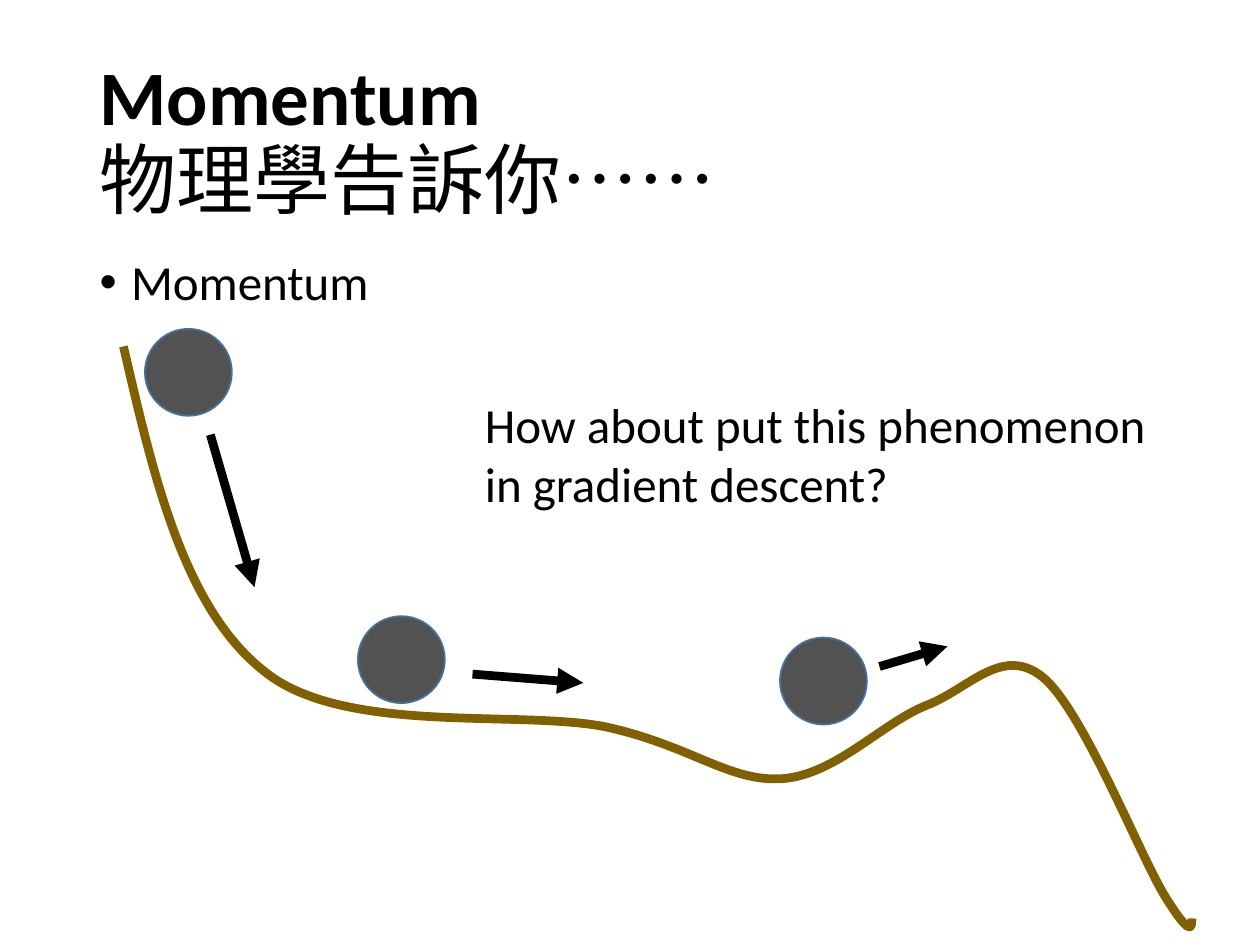
from lxml.etree import SubElement
from pptx import Presentation
from pptx.dml.color import RGBColor
from pptx.enum.shapes import MSO_CONNECTOR, MSO_SHAPE
from pptx.enum.text import MSO_ANCHOR, MSO_AUTO_SIZE, PP_ALIGN
from pptx.oxml.ns import qn
from pptx.util import Inches, Pt

BLACK = RGBColor(0x00, 0x00, 0x00)
BROWN = RGBColor(0x80, 0x60, 0x00)
GRAY = RGBColor(0x52, 0x52, 0x52)
BLUE = RGBColor(0x43, 0x73, 0x9E)
FONT = "Calibri"

TITLE = [("Momentum ", True), ("物理學告訴你……", False)]
BULLET = "Momentum"
QUESTION = "How about put this phenomenon in gradient descent?"

HILL_BOX = (0.98, 2.75, 8.48, 4.6)
HILL = [
    ((1.22, 3.79), (1.46, 4.83), (2.10, 5.33)),
    ((2.73, 5.84), (4.12, 5.63), (4.81, 5.77)),
    ((5.49, 5.92), (5.79, 6.21), (6.21, 6.18)),
    ((6.63, 6.15), (7.00, 5.74), (7.35, 5.60)),
    ((7.69, 5.47), (7.95, 5.12), (8.27, 5.37)),
    ((8.59, 5.62), (9.05, 6.80), (9.25, 7.12)),
    ((9.45, 7.44), (9.46, 7.37), (9.46, 7.29)),
]
BALL_SIZE = 0.69
BALLS = [(1.15, 2.61), (2.84, 4.89), (6.19, 5.06)]
ARROWS = [
    ((1.67, 3.45), (2.02, 4.66)),
    ((3.75, 5.35), (4.63, 5.42)),
    ((6.98, 5.29), (7.52, 5.13)),
]


def place(sp, x, y, w, h):
    sp.left, sp.top, sp.width, sp.height = map(Inches, (x, y, w, h))


def add_run(p, text, size, bold=None):
    r = p.add_run()
    r.text = text
    r.font.name = FONT
    r.font.size = Pt(size)
    r.font.bold = bold
    r.font.color.rgb = BLACK


def add_hill(shapes):
    left, top, width, height = HILL_BOX
    fb = shapes.build_freeform(Inches(left), Inches(top))
    fb.add_line_segments([tuple(map(Inches, c[-1])) for c in HILL], close=False)
    sp = fb.convert_to_shape()
    place(sp, *HILL_BOX)
    outline = next(sp._element.iter(qn("a:path")))
    outline.set("w", str(Inches(width)))
    outline.set("h", str(Inches(height)))
    for segment, curve in zip(outline.findall(qn("a:lnTo")), HILL):
        outline.remove(segment)
        cubic = SubElement(outline, qn("a:cubicBezTo"))
        for x, y in curve:
            SubElement(cubic, qn("a:pt"), x=str(Inches(x - left)), y=str(Inches(y - top)))
    sp.shadow.inherit = False
    sp.fill.background()
    sp.line.color.rgb = BROWN
    sp.line.width = Pt(5)


def add_ball(shapes, x, y):
    sp = shapes.add_shape(MSO_SHAPE.OVAL, *map(Inches, (x, y, BALL_SIZE, BALL_SIZE)))
    sp.shadow.inherit = False
    sp.fill.solid()
    sp.fill.fore_color.rgb = GRAY
    sp.line.color.rgb = BLUE
    sp.line.width = Pt(1)


def add_arrow(shapes, start, end):
    cn = shapes.add_connector(MSO_CONNECTOR.STRAIGHT, *map(Inches, start + end))
    cn.line.color.rgb = BLACK
    cn.line.width = Pt(5)
    SubElement(cn.line._get_or_add_ln(), qn("a:tailEnd"), type="triangle")
    SubElement(cn._element.spPr, qn("a:effectLst"))


def main():
    prs = Presentation()
    prs.slide_width, prs.slide_height = Inches(10), Inches(7.5)
    s = prs.slides.add_slide(prs.slide_layouts[1])
    title, body = s.placeholders

    place(title, 0.69, 0.4, 8.62, 1.45)
    tf = title.text_frame
    tf.auto_size = MSO_AUTO_SIZE.NONE
    tf.vertical_anchor = MSO_ANCHOR.MIDDLE
    p = tf.paragraphs[0]
    p.alignment = PP_ALIGN.LEFT
    p.line_spacing = 0.9
    for i, (text, bold) in enumerate(TITLE):
        if i:
            p.add_line_break()
        add_run(p, text, 44, bold)

    place(body, 0.69, 2, 8.62, 4.76)
    tf = body.text_frame
    tf.auto_size = MSO_AUTO_SIZE.NONE
    p = tf.paragraphs[0]
    p.line_spacing = 0.9
    p.space_before = Pt(0)
    pPr = p._p.get_or_add_pPr()
    pPr.set("marL", str(Inches(0.25)))
    pPr.set("indent", str(Inches(-0.25)))
    SubElement(pPr, qn("a:buFont"), typeface="Arial")
    SubElement(pPr, qn("a:buChar"), char="•")
    add_run(p, BULLET, 28)

    add_hill(s.shapes)
    for x, y in BALLS:
        add_ball(s.shapes, x, y)
    for start, end in ARROWS:
        add_arrow(s.shapes, start, end)

    question = s.shapes.add_textbox(*map(Inches, (3.75, 3.08, 5.56, 1.04)))
    tf = question.text_frame
    tf.word_wrap = True
    tf.auto_size = MSO_AUTO_SIZE.SHAPE_TO_FIT_TEXT
    add_run(tf.paragraphs[0], QUESTION, 28)

    prs.save("out.pptx")


if __name__ == "__main__":
    main()
